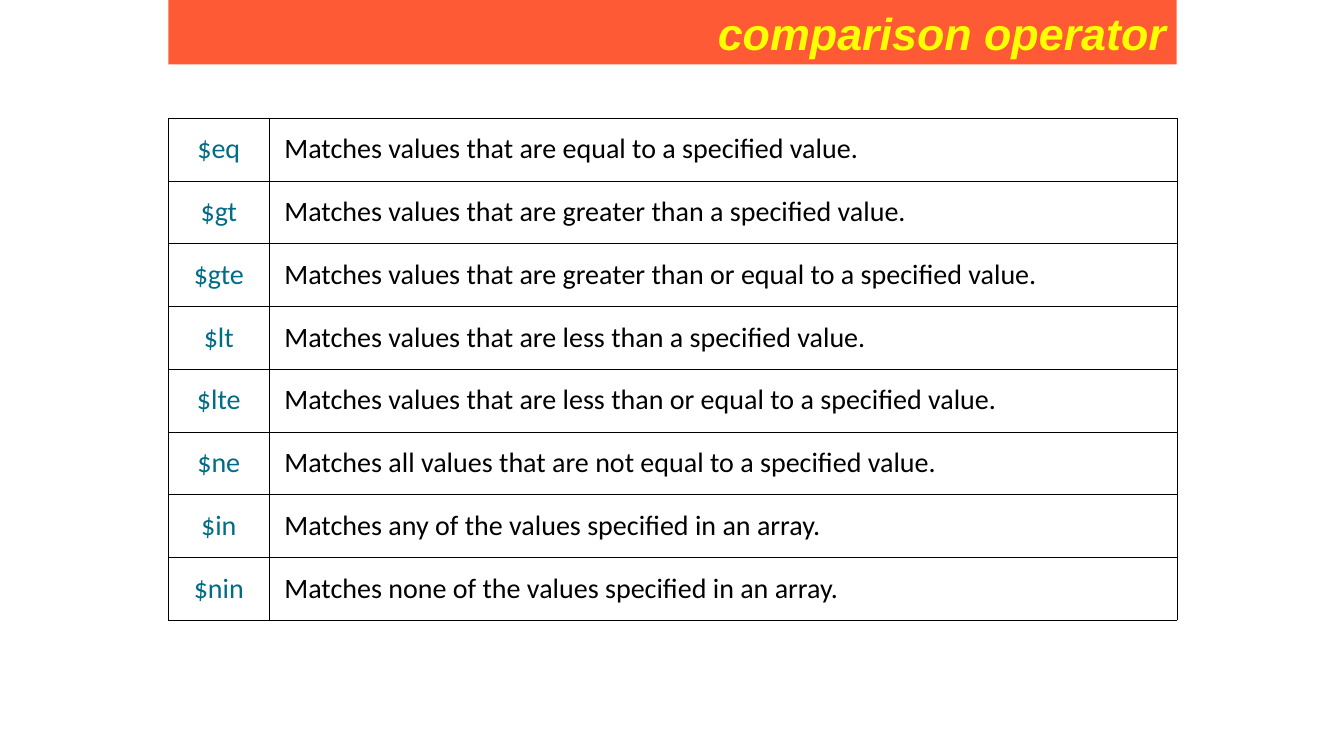
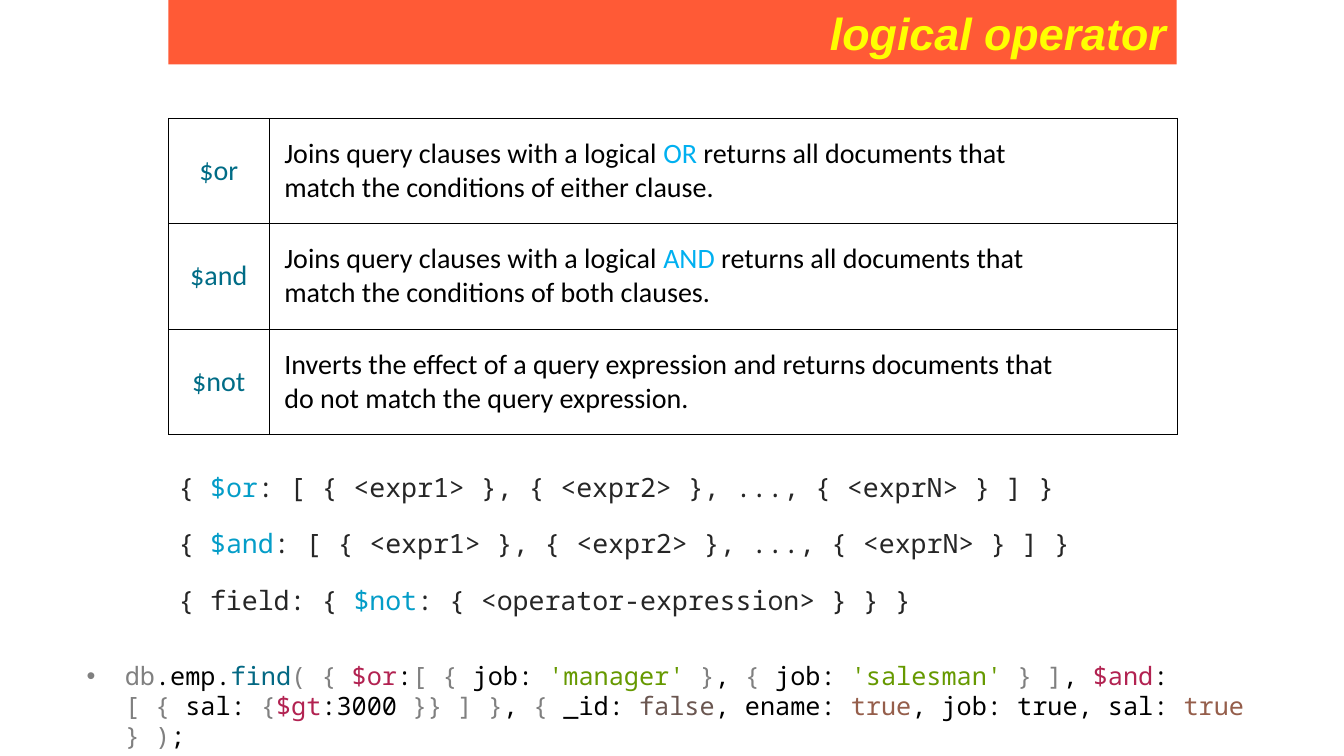
from lxml import etree
from pptx import Presentation
from pptx.dml.color import RGBColor
from pptx.enum.text import MSO_ANCHOR, MSO_AUTO_SIZE, PP_ALIGN
from pptx.oxml.ns import qn
from pptx.util import Inches, Pt

CENTER, LEFT, RIGHT = PP_ALIGN.CENTER, PP_ALIGN.LEFT, PP_ALIGN.RIGHT
MIDDLE = MSO_ANCHOR.MIDDLE
NO_AUTOFIT = MSO_AUTO_SIZE.NONE
TITLE_ONLY = 5

COLORS = {
    "band": "FF5A36", "title": "FFFF00", "border": "000000",
    "black": "000000", "operator": "006C86", "keyword": "00B0F0",
    "syntax": "262626", "syntax_op": "049DC8",
    "gray": "808080", "method": "036883", "query_op": "B22251",
    "string": "669900", "false": "6A5650", "true": "955E4B",
}
TITLE_FONT, TABLE_FONT, CODE_FONT = "Arial", "Calibri", "Noto Sans Mono"

# Shared content column
CONTENT_LEFT, CONTENT_WIDTH = 1.67, 10
TABLE_TOP, OPERATOR_WIDTH = 1.17, 1
SYNTAX_TOP, SYNTAX_STEP = 4.62, 0.56

COMPARISONS = [
    ("$eq", "Matches values that are equal to a specified value."),
    ("$gt", "Matches values that are greater than a specified value."),
    ("$gte", "Matches values that are greater than or equal to a specified value."),
    ("$lt", "Matches values that are less than a specified value."),
    ("$lte", "Matches values that are less than or equal to a specified value."),
    ("$ne", "Matches all values that are not equal to a specified value."),
    ("$in", "Matches any of the values specified in an array."),
    ("$nin", "Matches none of the values specified in an array."),
]


def join_lines(keyword, ending):
    return [
        [("Joins query clauses with a logical ", "black"), (keyword + " ", "keyword"),
         ("returns all documents that", "black")],
        [(ending, "black")],
    ]


LOGICALS = [
    ("$or", join_lines("OR", "match the conditions of either clause.")),
    ("$and", join_lines("AND", "match the conditions of both clauses.")),
    ("$not", [
        [("Inverts the effect of a query expression and returns documents that", "black")],
        [("do not match the query expression.", "black")],
    ]),
]

CLAUSE_LIST = ": [ { <expr1> }, { <expr2> }, ..., { <exprN> } ] }"
SYNTAXES = [
    ("{ ", "$or", CLAUSE_LIST),
    ("{ ", "$and", CLAUSE_LIST),
    ("{ field: { ", "$not", ": { <operator-expression> } } }"),
]

EXAMPLE_QUERY = [
    ("db", "gray"), (".emp.", "black"), ("find", "method"), ("( { ", "gray"),
    ("$or", "query_op"), (":", "black"), ("[ { ", "gray"), ("job: ", "black"),
    ("'manager' ", "string"), ("}", "gray"), (", ", "black"), ("{", "gray"),
    (" job: ", "black"), ("'salesman' ", "string"), ("} ]", "gray"), (", ", "black"),
    ("$and", "query_op"), (": ", "black"), ("[ {", "gray"), (" sal: ", "black"),
    ("{", "gray"), ("$gt", "query_op"), (":3000 ", "black"), ("}} ] }", "gray"),
    (", ", "black"), ("{ ", "gray"), ("_id: ", "black"), ("false", "false"),
    (", ename: ", "black"), ("true", "true"), (", job: true, sal: ", "black"),
    ("true ", "true"), ("} )", "gray"), (";", "black"),
]


def rgb(name):
    return RGBColor.from_string(COLORS[name])


def add_runs(paragraph, runs, font, size, align=LEFT, emphasis=False):
    paragraph.alignment = align
    for text, color in runs:
        run = paragraph.add_run()
        run.text = text
        run.font.name = font
        run.font.size = Pt(size)
        run.font.color.rgb = rgb(color)
        run.font.bold = run.font.italic = emphasis


def add_titled_slide(prs, text):
    slide = prs.slides.add_slide(prs.slide_layouts[TITLE_ONLY])
    title = slide.shapes.title
    title.left, title.top = Inches(CONTENT_LEFT), Inches(0)
    title.width, title.height = Inches(CONTENT_WIDTH), Inches(0.64)
    title.fill.solid()
    title.fill.fore_color.rgb = rgb("band")
    frame = title.text_frame
    frame.auto_size = NO_AUTOFIT
    frame.vertical_anchor = MIDDLE
    add_runs(frame.paragraphs[0], [(text, "title")], TITLE_FONT, 32, RIGHT, True)
    return slide


def set_borders(cell):
    properties = cell._tc.get_or_add_tcPr()
    for index, side in enumerate(("lnL", "lnR", "lnT", "lnB")):
        line = etree.Element(qn("a:" + side), w=str(Pt(0.25)))
        fill = etree.SubElement(line, qn("a:solidFill"))
        etree.SubElement(fill, qn("a:srgbClr"), val=COLORS["border"])
        properties.insert(index, line)


def fill_cell(cell, lines, align, side_margin):
    cell.fill.background()
    set_borders(cell)
    cell.vertical_anchor = MIDDLE
    cell.margin_left, cell.margin_right = Inches(side_margin), Inches(0.03)
    cell.margin_top = cell.margin_bottom = Inches(0.02)
    frame = cell.text_frame
    for index, runs in enumerate(lines):
        paragraph = frame.add_paragraph() if index else frame.paragraphs[0]
        add_runs(paragraph, runs, TABLE_FONT, 20, align)


def add_operator_table(slide, rows, height):
    table = slide.shapes.add_table(
        len(rows), 2, Inches(CONTENT_LEFT), Inches(TABLE_TOP),
        Inches(CONTENT_WIDTH), Inches(height)).table
    table.first_row = table.horz_banding = False
    table.columns[0].width = Inches(OPERATOR_WIDTH)
    table.columns[1].width = Inches(CONTENT_WIDTH - OPERATOR_WIDTH)
    for index, (operator, description) in enumerate(rows):
        fill_cell(table.cell(index, 0), [[(operator, "operator")]], CENTER, 0.03)
        fill_cell(table.cell(index, 1), description, LEFT, 0.15)


def add_code(slide, left, top, width, height, runs, size):
    box = slide.shapes.add_textbox(Inches(left), Inches(top), Inches(width), Inches(height))
    box.text_frame.word_wrap = True
    paragraph = box.text_frame.paragraphs[0]
    add_runs(paragraph, runs, CODE_FONT, size)
    return paragraph


def add_bullet(paragraph, indent):
    properties = paragraph._p.get_or_add_pPr()
    properties.set("marL", str(Inches(indent)))
    properties.set("indent", str(-Inches(indent)))
    etree.SubElement(properties, qn("a:buFont"), typeface="Arial")
    etree.SubElement(properties, qn("a:buChar"), char="•")


def build_comparison(prs):
    slide = add_titled_slide(prs, "comparison operator")
    rows = [(operator, [[(text, "black")]]) for operator, text in COMPARISONS]
    add_operator_table(slide, rows, 4.98)


def build_logical(prs):
    slide = add_titled_slide(prs, "logical operator")
    add_operator_table(slide, LOGICALS, 3.14)

    # Syntax of each operator
    for index, (opening, operator, rest) in enumerate(SYNTAXES):
        runs = [(opening, "syntax"), (operator, "syntax_op"), (rest, "syntax")]
        add_code(slide, CONTENT_LEFT, SYNTAX_TOP + index * SYNTAX_STEP,
                 CONTENT_WIDTH, 0.42, runs, 19)

    # Example query
    query = add_code(slide, 0.76, 6.5, 11.81, 0.71, EXAMPLE_QUERY, 18)
    add_bullet(query, 0.38)


def main():
    prs = Presentation()
    prs.slide_width, prs.slide_height = Inches(13.33), Inches(7.5)
    build_comparison(prs)
    build_logical(prs)
    prs.save("out.pptx")


if __name__ == "__main__":
    main()
